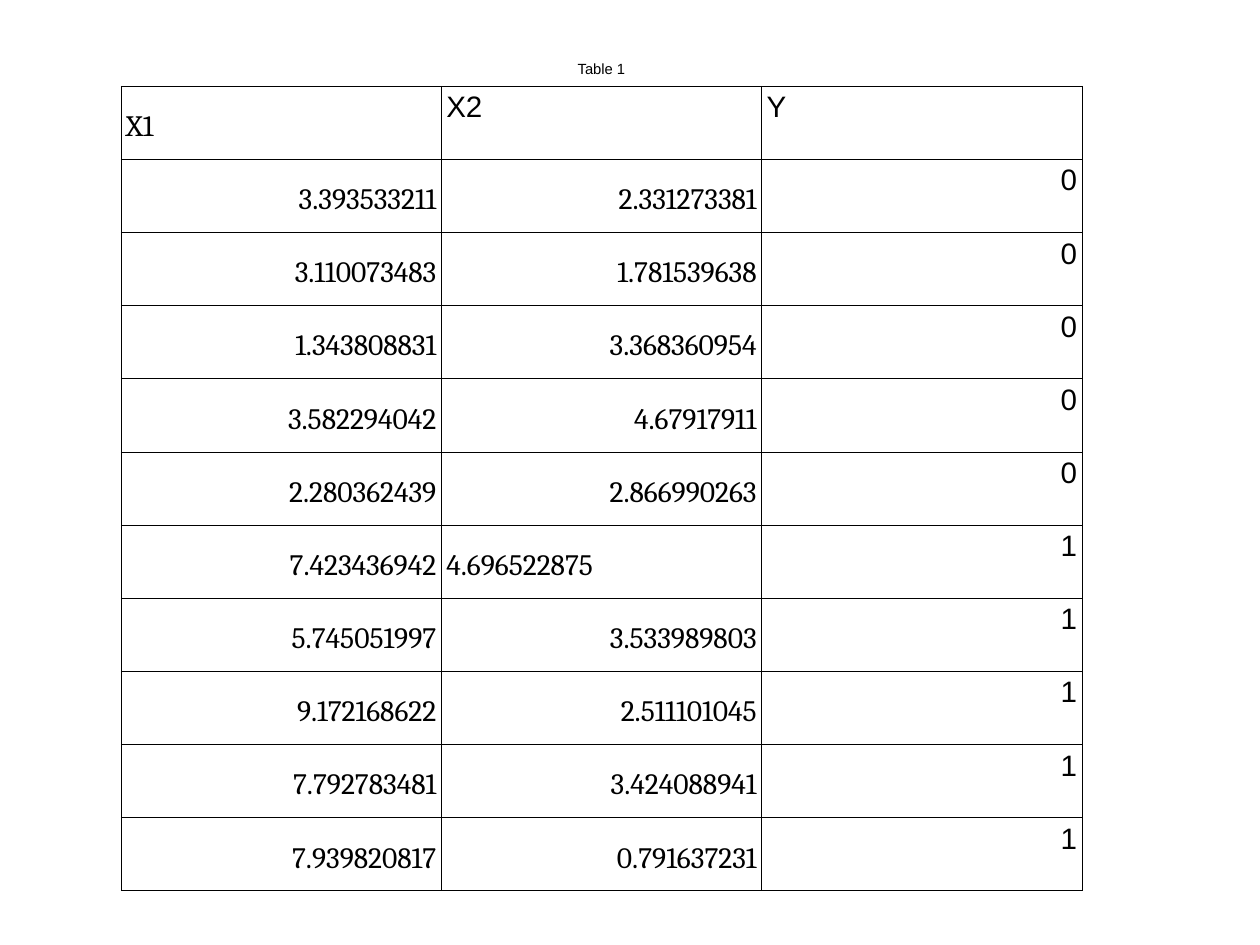
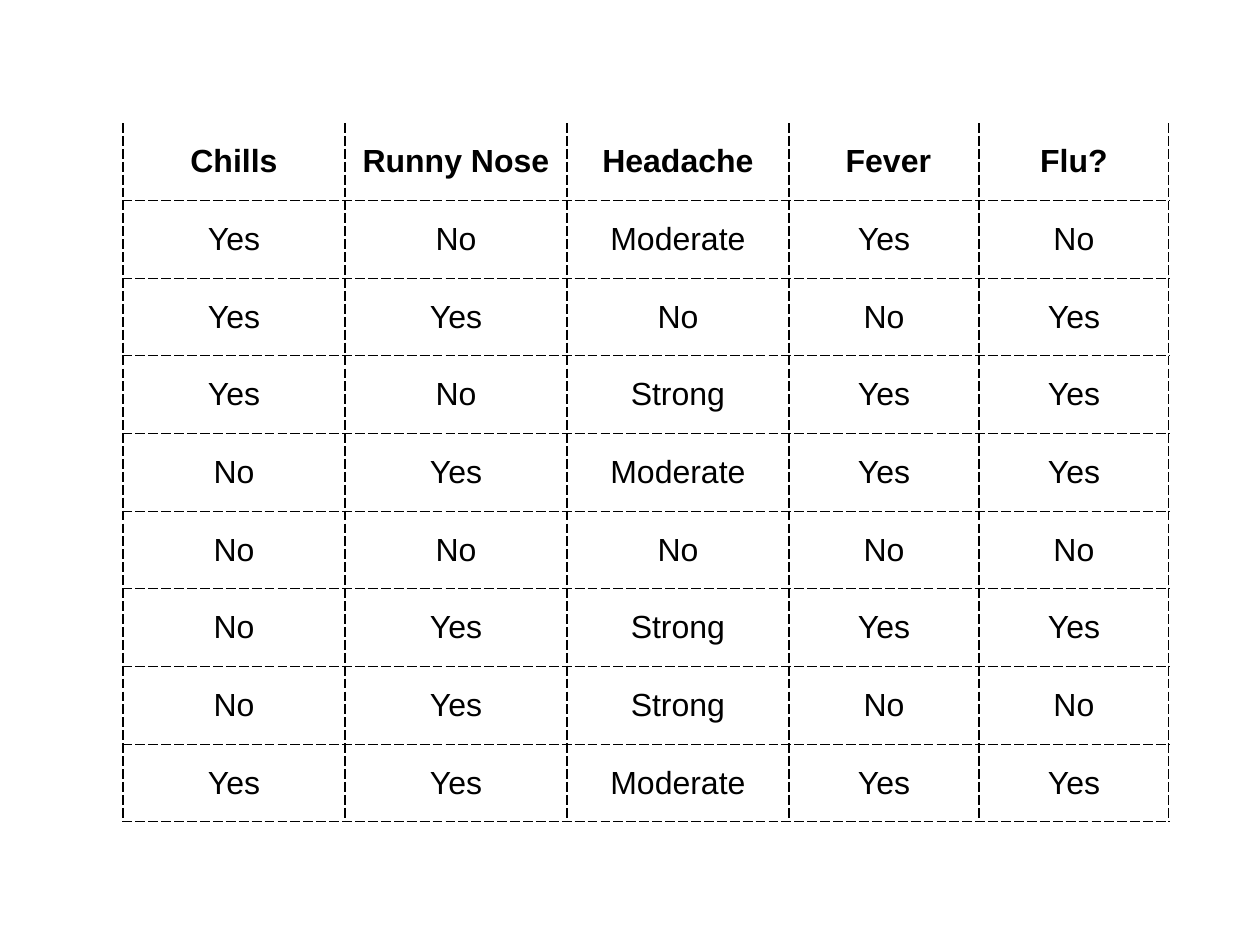
import pptx
import pptx.util
import pptx.oxml
import pptx.oxml.ns
import pptx.dml.color
import pptx.enum.text

SCALE = 10320
BLACK = pptx.dml.color.RGBColor(0, 0, 0)
ALIGN = pptx.enum.text.PP_ALIGN
ANCHOR = pptx.enum.text.MSO_ANCHOR
Pt = pptx.util.Pt
INSET = 5
SIDES = "LRTB"

PLAIN = {"size": Pt(24), "name": "Arial", "bold": False}
SERIF = {**PLAIN, "name": "Cambria"}
SMALL = {**PLAIN, "size": Pt(12)}
BODY = {**PLAIN, "size": Pt(26)}
HEAD = {**BODY, "bold": True}

LEFT = {"alignment": ALIGN.LEFT}
RIGHT = {"alignment": ALIGN.RIGHT}
CENTER = {"alignment": ALIGN.CENTER}
TALL = {"line_spacing": Pt(43)}
LOWER = {**TALL, "space_before": Pt(12)}

THIN = {"width": Pt(0.35), "dash": "solid"}
DASHED = {"width": Pt(1), "dash": "dash"}

POINTS = [
    ("3.393533211", "2.331273381", "0"),
    ("3.110073483", "1.781539638", "0"),
    ("1.343808831", "3.368360954", "0"),
    ("3.582294042", "4.67917911", "0"),
    ("2.280362439", "2.866990263", "0"),
    ("7.423436942", "4.696522875", "1"),
    ("5.745051997", "3.533989803", "1"),
    ("9.172168622", "2.511101045", "1"),
    ("7.792783481", "3.424088941", "1"),
    ("7.939820817", "0.791637231", "1"),
]

CASES = [
    ("Chills", "Runny Nose", "Headache", " Fever", "Flu?"),
    ("Yes", "No", "Moderate", "Yes", "No"),
    ("Yes", "Yes", "No", "No", "Yes"),
    ("Yes", "No", "Strong", "Yes", "Yes"),
    ("No", "Yes", "Moderate", "Yes", "Yes"),
    ("No", "No", "No", "No", "No"),
    ("No", "Yes", "Strong", "Yes", "Yes"),
    ("No", "Yes", "Strong", "No", "No"),
    ("Yes", "Yes", "Moderate", "Yes", "Yes"),
]


def px(count):
    return pptx.util.Emu(count * SCALE)


def apply(target, values):
    for key, value in values.items():
        setattr(target, key, value)


def add_grid(deck, left, top, widths, heights):
    slide = deck.slides.add_slide(deck.slide_layouts[6])
    frame = slide.shapes.add_table(
        len(heights), len(widths), px(left), px(top), sum(widths), sum(heights))
    grid = frame.table
    apply(grid, {"first_row": False, "horz_banding": False})
    for column, width in zip(grid.columns, widths):
        column.width = width
    for row, height in zip(grid.rows, heights):
        row.height = height
    return grid


def draw_edges(cell, line, shown):
    props = cell._tc.get_or_add_tcPr()
    space = pptx.oxml.ns.nsdecls("a")
    for side in SIDES:
        paint = "<a:noFill/>"
        if side in shown:
            paint = (f'<a:solidFill><a:srgbClr val="{BLACK}"/></a:solidFill>'
                     f'<a:prstDash val="{line["dash"]}"/>')
        props.append(pptx.oxml.parse_xml(
            f'<a:ln{side} {space} w="{line["width"]}">{paint}</a:ln{side}>'))


def style_cell(cell, line, shown, anchor):
    draw_edges(cell, line, shown)
    cell.fill.background()
    margins = {f"margin_{side}": px(INSET)
               for side in ("left", "right", "top", "bottom")}
    apply(cell, {**margins, "vertical_anchor": anchor})


def write(cell, text, font, para):
    first = cell.text_frame.paragraphs[0]
    apply(first, para)
    run = first.add_run()
    run.text = text
    apply(run.font, font)
    run.font.color.rgb = BLACK


def add_points(deck):
    pitch = px(805) // (len(POINTS) + 1)
    heights = [px(34)] + [pitch] * (len(POINTS) + 1)
    grid = add_grid(deck, 121, 52, [px(961) // 3] * 3, heights)
    for col in range(3):
        style_cell(grid.cell(0, col), THIN, "B", ANCHOR.MIDDLE)
    title = grid.cell(0, 0)
    title.merge(grid.cell(0, 2))
    write(title, "Table 1", SMALL, {**CENTER, "space_before": Pt(6)})

    fonts = (SERIF, SERIF, PLAIN)
    paras = (TALL, LOWER, {})
    for col, text in enumerate(("X1", "X2", "Y")):
        cell = grid.cell(1, col)
        style_cell(cell, THIN, SIDES, ANCHOR.TOP)
        font, para = (SERIF, TALL) if col == 0 else (PLAIN, {})
        write(cell, text, font, {**LEFT, **para})
    for row, values in enumerate(POINTS, 2):
        for col, text in enumerate(values):
            cell = grid.cell(row, col)
            style_cell(cell, THIN, SIDES, ANCHOR.TOP)
            align = LEFT if (row, col) == (7, 1) else RIGHT
            write(cell, text, fonts[col], {**align, **paras[col]})


def add_cases(deck):
    widths = [px(222)] * 3 + [px(190)] * 2
    heights = [px(699) // len(CASES)] * len(CASES)
    grid = add_grid(deck, 123, 123, widths, heights)
    for row, values in enumerate(CASES):
        for col, text in enumerate(values):
            cell = grid.cell(row, col)
            shown = SIDES if row else "LRB"
            style_cell(cell, DASHED, shown, ANCHOR.MIDDLE)
            write(cell, text, BODY if row else HEAD, CENTER)


def main():
    deck = pptx.Presentation()
    apply(deck, {"slide_width": px(1260), "slide_height": px(945)})
    add_points(deck)
    add_cases(deck)
    deck.save("out.pptx")


if __name__ == "__main__":
    main()
